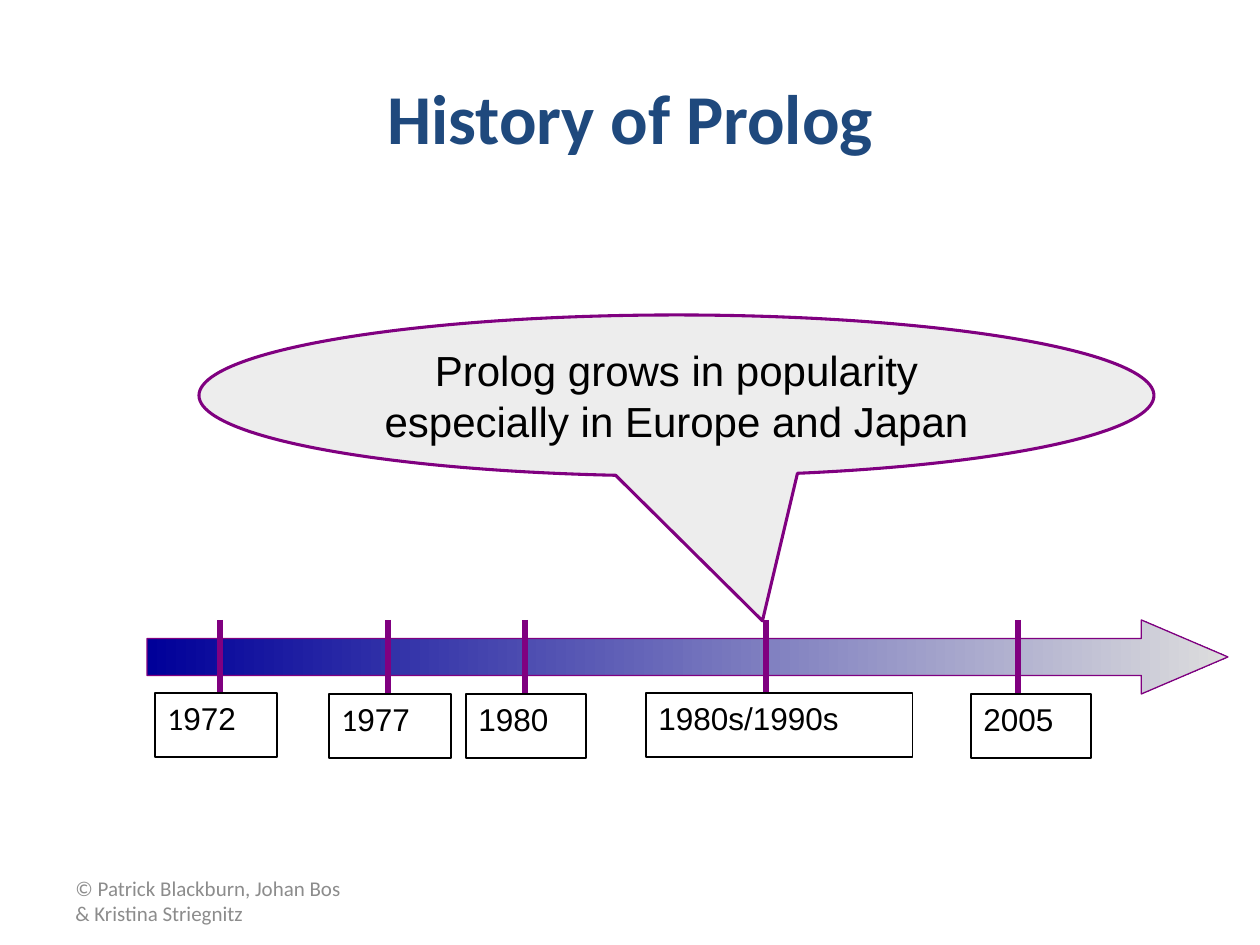
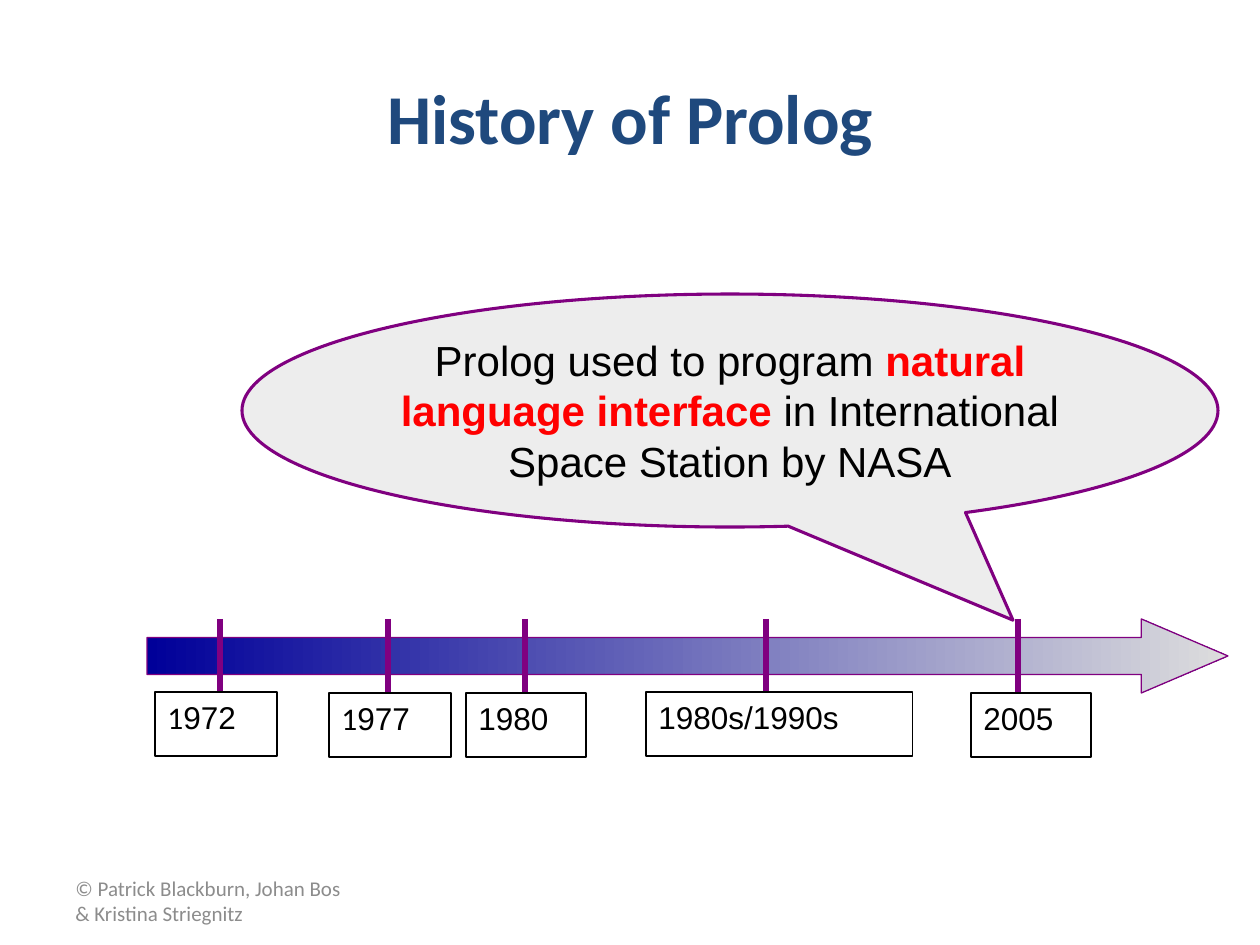
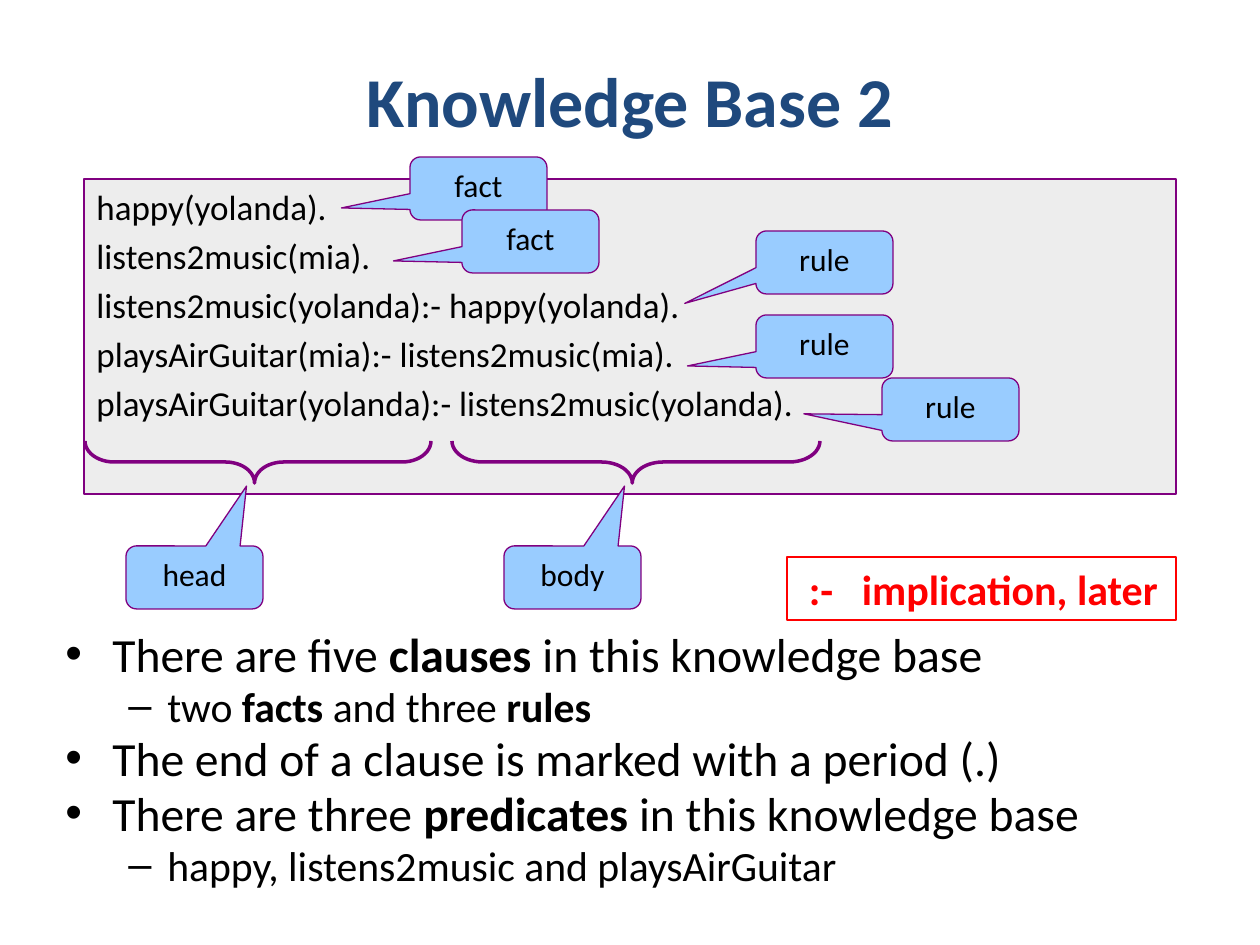
import pptx
import pptx.util
import pptx.dml.color
import pptx.enum.shapes
import pptx.enum.text
import pptx.oxml.ns
import lxml.etree

PX = 7257
Pt = pptx.util.Pt
RGBColor = pptx.dml.color.RGBColor
SHAPES = pptx.enum.shapes.MSO_SHAPE
ALIGN = pptx.enum.text.PP_ALIGN
ANCHOR = pptx.enum.text.MSO_ANCHOR
qn = pptx.oxml.ns.qn

NAVY = RGBColor(0x1F, 0x49, 0x7D)
PURPLE = RGBColor(0x80, 0x00, 0x80)
DEEP_BLUE = RGBColor(0x00, 0x00, 0x99)
LIGHT_BLUE = RGBColor(0x99, 0xCC, 0xFF)
SILVER = RGBColor(0xDD, 0xDD, 0xDD)
GRAY = RGBColor(0x8C, 0x8C, 0x8C)
RED = RGBColor(0xFF, 0x00, 0x00)
BLACK = RGBColor(0x00, 0x00, 0x00)


def add_box(slide, kind, box, line_color, line_width, fill=None):
    shape = slide.shapes.add_shape(kind, *[length * PX for length in box])
    shape.shadow.inherit = False
    shape.line.color.rgb = line_color
    shape.line.width = Pt(line_width)
    shape.text_frame.word_wrap = True
    shape.text_frame.vertical_anchor = ANCHOR.TOP
    if fill is None:
        shape.fill.background()
    else:
        shape.fill.solid()
        shape.fill.fore_color.rgb = fill
        if fill == SILVER:
            color = shape.fill._xPr.find(".//" + qn("a:srgbClr"))
            lxml.etree.SubElement(color, qn("a:alpha"), val="50000")
    return shape


def write(paragraph, parts, size, color=BLACK, font="Calibri", align=ALIGN.LEFT):
    for part in parts:
        paragraph.add_run().text = part
    paragraph.alignment = align
    paragraph.font.name = font
    paragraph.font.size = Pt(size)
    paragraph.font.color.rgb = color


presentation = pptx.Presentation()
presentation.slide_width = 1260 * PX
presentation.slide_height = 945 * PX

titles = [("History of Prolog", 38), ("History of Prolog", 38), ("Knowledge Base 2", 21)]
for title_text, title_top in titles:
    slide = presentation.slides.add_slide(presentation.slide_layouts[5])
    title = slide.shapes.title
    title.left, title.top = 63 * PX, title_top * PX
    title.width, title.height = 1134 * PX, 158 * PX
    title.text_frame.vertical_anchor = ANCHOR.MIDDLE
    paragraph = title.text_frame.paragraphs[0]
    write(paragraph, [title_text], 40, NAVY, align=ALIGN.CENTER)
    paragraph.font.bold = True

milestones = [
    (220, 155, 122, 73, ["1", "972"]),
    (388, 329, 122, 74, ["1", "977"]),
    (525, 466, 120, 74, ["1980"]),
    (766, 646, 267, 73, ["1980s/1990s"]),
    (1018, 971, 120, 74, ["2005"]),
]
timelines = [
    (620, (199, 315, 955, 161), (0.09, 1.4),
     ["Prolog grows in popularity especially in Europe and Japan"]),
    (619, (242, 294, 976, 233), (0.29, 0.9),
     ["Prolog used to program ", "natural language interface",
      " in International Space Station by NASA"]),
]
for slide, (timeline_top, bubble_box, pointer, message) in zip(presentation.slides, timelines):
    footer = slide.shapes.add_textbox(63 * PX, 876 * PX, 294 * PX, 50 * PX)
    footer.text_frame.word_wrap = True
    footer.text_frame.vertical_anchor = ANCHOR.MIDDLE
    write(footer.text_frame.paragraphs[0],
          ["© Patrick Blackburn, Johan Bos & Kristina Striegnitz"], 12, GRAY)

    arrow = add_box(slide, SHAPES.RIGHT_ARROW, (147, timeline_top, 1081, 74), PURPLE, 0.75)
    arrow.adjustments[0], arrow.adjustments[1] = 0.5, 1.17
    arrow.fill.gradient()
    arrow.fill.gradient_angle = 0
    for stop, color in zip(arrow.fill.gradient_stops, (DEEP_BLUE, SILVER)):
        stop.color.rgb = color

    for tick_left, label_left, label_width, drop, label_parts in milestones:
        tick = slide.shapes.add_connector(
            pptx.enum.shapes.MSO_CONNECTOR.STRAIGHT,
            tick_left * PX, timeline_top * PX, tick_left * PX, (timeline_top + 74) * PX)
        tick.line.color.rgb = PURPLE
        tick.line.width = Pt(3)
        lxml.etree.SubElement(tick._element.spPr, qn("a:effectLst"))
        label = add_box(slide, SHAPES.RECTANGLE,
                        (label_left, timeline_top + drop, label_width, 64), BLACK, 0.75)
        paragraph = label.text_frame.paragraphs[0]
        write(paragraph, label_parts, 18, font="Arial")
        if len(label_parts) > 1:
            paragraph.runs[0].font.name = "Calibri"

    bubble = add_box(slide, SHAPES.OVAL_CALLOUT, bubble_box, PURPLE, 1.75, SILVER)
    bubble.adjustments[0], bubble.adjustments[1] = pointer
    paragraph = bubble.text_frame.paragraphs[0]
    write(paragraph, message, 24, font="Arial", align=ALIGN.CENTER)
    for run in paragraph.runs[1::2]:
        run.font.bold = True
        run.font.color.rgb = RED

slide = presentation.slides[2]
clauses = [
    "happy(yolanda).",
    "listens2music(mia).",
    "listens2music(yolanda):- happy(yolanda).",
    "playsAirGuitar(mia):- listens2music(mia).",
    "playsAirGuitar(yolanda):- listens2music(yolanda).",
]
code_box = add_box(slide, SHAPES.RECTANGLE, (84, 179, 1092, 315), PURPLE, 0.75, SILVER)
frame = code_box.text_frame
for index, clause in enumerate(clauses):
    paragraph = frame.add_paragraph() if index else frame.paragraphs[0]
    write(paragraph, [clause], 20)
    paragraph.space_before = Pt(4 if index else 0)

callouts = [
    ("fact", 410, 157, -1.0, 0.31),
    ("fact", 462, 210, -1.0, 0.31),
    ("rule", 756, 231, -1.02, 0.65),
    ("rule", 756, 315, -1.0, 0.31),
    ("rule", 882, 378, -1.07, 0.07),
    ("head", 126, 546, 0.38, -1.45),
    ("body", 504, 546, 0.38, -1.45),
]
for name, left, top, pointer_x, pointer_y in callouts:
    callout = add_box(slide, SHAPES.ROUNDED_RECTANGULAR_CALLOUT,
                      (left, top, 137, 63), PURPLE, 0.75, LIGHT_BLUE)
    callout.adjustments[0], callout.adjustments[1] = pointer_x, pointer_y
    write(callout.text_frame.paragraphs[0], [name], 18, align=ALIGN.CENTER)

for brace_box, curve in [((237, 289, 42, 346), 0.69), ((615, 278, 42, 368), 0.73)]:
    brace = add_box(slide, SHAPES.LEFT_BRACE, brace_box, PURPLE, 2)
    brace.rotation = 270
    brace.adjustments[0], brace.adjustments[1] = curve, 0.49

bullets = [
    (0, ["There are five ", "clauses", " in this knowledge base"]),
    (1, ["two ", "facts ", "and three ", "rules"]),
    (0, ["The end of a clause is marked with a period (.)"]),
    (0, ["There are three ", "predicates", " in this knowledge base"]),
    (1, ["happy, listens2music and playsAirGuitar"]),
]
bullet_styles = [("•", 27.2, 47, 47), ("–", 23.8, 102, 39)]
summary = slide.shapes.add_textbox(53 * PX, 630 * PX, 1134 * PX, 273 * PX)
frame = summary.text_frame
frame.word_wrap = True
for index, (level, parts) in enumerate(bullets):
    mark, size, margin, hanging = bullet_styles[level]
    paragraph = frame.add_paragraph() if index else frame.paragraphs[0]
    paragraph.level = level
    properties = paragraph._p.get_or_add_pPr()
    properties.set("marL", str(margin * PX))
    properties.set("indent", str(-hanging * PX))
    lxml.etree.SubElement(properties, qn("a:buFont"), typeface="Arial")
    lxml.etree.SubElement(properties, qn("a:buChar"), char=mark)
    write(paragraph, parts, size)
    paragraph.line_spacing = 0.8
    paragraph.space_before = Pt(size * 0.2 if index else 0)
    for run in paragraph.runs[1::2]:
        run.font.bold = True

implication = add_box(slide, SHAPES.RECTANGLE, (787, 557, 389, 63), RED, 0.75)
implication.text_frame.margin_left = 22 * PX
paragraph = implication.text_frame.paragraphs[0]
tabs = lxml.etree.SubElement(paragraph._p.get_or_add_pPr(), qn("a:tabLst"))
lxml.etree.SubElement(tabs, qn("a:tab"), pos=str(53 * PX), algn="l")
write(paragraph, [":-\timplication, later"], 24, RED)
paragraph.font.bold = True

presentation.save("out.pptx")
